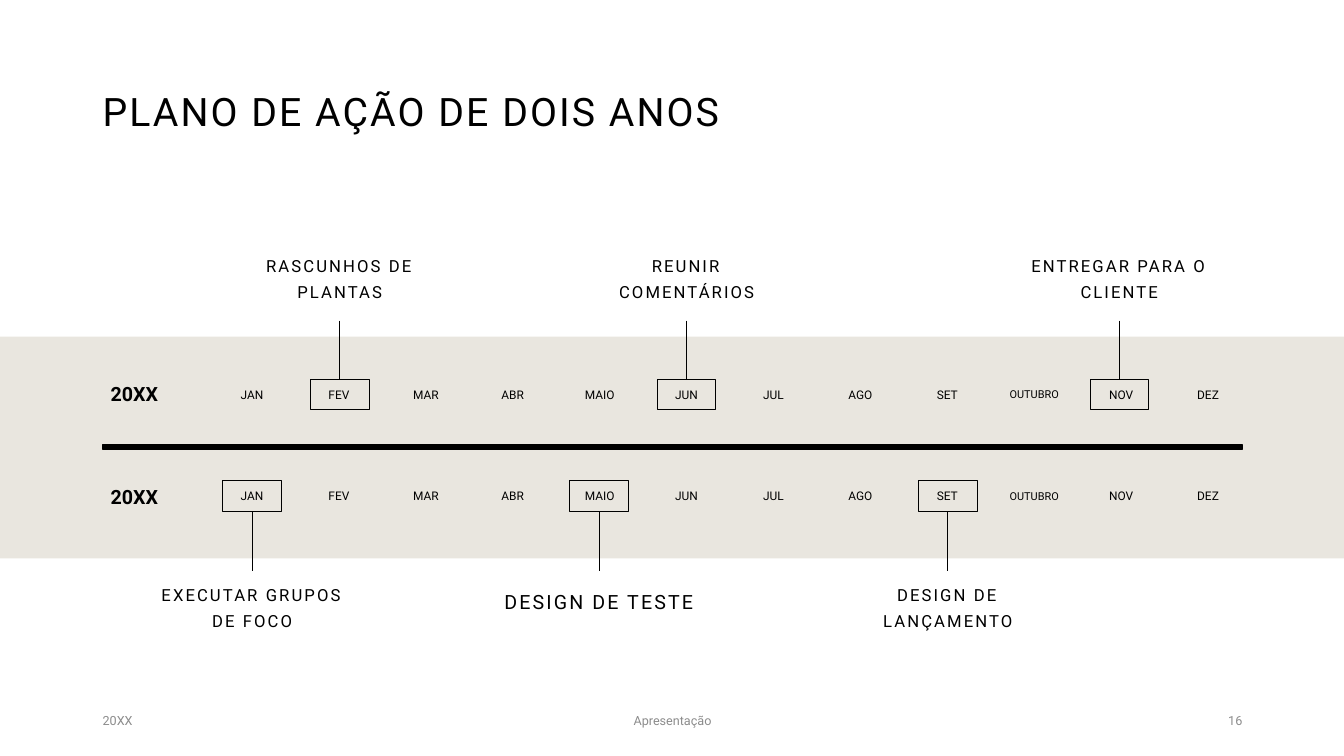
from pptx import Presentation
from pptx.dml.color import RGBColor
from pptx.enum.shapes import MSO_CONNECTOR, MSO_SHAPE
from pptx.enum.text import MSO_ANCHOR, PP_ALIGN
from pptx.oxml.ns import qn
from pptx.util import Inches, Pt
from lxml import etree

BLACK = RGBColor(0x00, 0x00, 0x00)
SAND = RGBColor(0xE9, 0xE6, 0xDF)
GRAY = RGBColor(0x8C, 0x8C, 0x8C)
FONT = "Roboto"

LEFT, CENTER, RIGHT = PP_ALIGN.LEFT, PP_ALIGN.CENTER, PP_ALIGN.RIGHT
TOP, MIDDLE, BOTTOM = MSO_ANCHOR.TOP, MSO_ANCHOR.MIDDLE, MSO_ANCHOR.BOTTOM
RECTANGLE = MSO_SHAPE.RECTANGLE
STRAIGHT = MSO_CONNECTOR.STRAIGHT

MONTHS = ["JAN", "FEV", "MAR", "ABR", "MAIO", "JUN",
          "JUL", "AGO", "SET", "OUTUBRO", "NOV", "DEZ"]
FIRST_MONTH_X, MONTH_STEP = 2.5, 0.862
MONTH_WIDTH = 0.7
MARKER_WIDTH, MARKER_HEIGHT = 0.58, 0.3
LABEL_WIDTH, LABEL_HEIGHT = 2.25, 0.61

# Milestones: centre x and label
FIRST_YEAR = [(3.37, "RASCUNHOS DE PLANTAS"),
              (6.81, "REUNIR COMENTÁRIOS"),
              (11.1, "ENTREGAR PARA O CLIENTE")]
SECOND_YEAR = [(2.5, "EXECUTAR GRUPOS DE FOCO"),
               (5.94, "DESIGN DE TESTE"),
               (9.4, "DESIGN DE LANÇAMENTO")]


def add_text(slide, text, x, y, width, height, *, size, color=BLACK, bold=False,
             align=LEFT, anchor=TOP, line_spacing=1.0, before=0, tracking=0):
    box = slide.shapes.add_textbox(Inches(x), Inches(y), Inches(width), Inches(height))
    frame = box.text_frame
    frame.word_wrap = True
    frame.vertical_anchor = anchor
    paragraph = frame.paragraphs[0]
    paragraph.alignment = align
    paragraph.line_spacing = line_spacing
    paragraph.space_before = Pt(before)
    run = paragraph.add_run()
    run.text = text
    run.font.name = FONT
    run.font.size = Pt(size)
    run.font.bold = bold
    run.font.color.rgb = color
    if tracking:
        run.font._element.set("spc", str(int(tracking * 100)))


def add_rectangle(slide, x, y, width, height, fill=None, line_width=None):
    rectangle = slide.shapes.add_shape(
        RECTANGLE, Inches(x), Inches(y), Inches(width), Inches(height))
    rectangle.shadow.inherit = False
    if fill is None:
        rectangle.fill.background()
    else:
        rectangle.fill.solid()
        rectangle.fill.fore_color.rgb = fill
    if line_width is None:
        rectangle.line.fill.background()
    else:
        rectangle.line.color.rgb = BLACK
        rectangle.line.width = Pt(line_width)


def add_stem(slide, x, top, bottom):
    stem = slide.shapes.add_connector(
        STRAIGHT, Inches(x), Inches(top), Inches(x), Inches(bottom))
    stem.line.color.rgb = BLACK
    stem.line.width = Pt(0.5)
    etree.SubElement(stem._element.spPr, qn("a:effectLst"))


def add_year(slide, year_y, months_y):
    add_text(slide, "20XX", 1, year_y, 0.8, 0.5, size=14, bold=True,
             anchor=MIDDLE, line_spacing=0.9, before=10)
    for index, month in enumerate(MONTHS):
        x = FIRST_MONTH_X + index * MONTH_STEP - MONTH_WIDTH / 2
        add_text(slide, month, x, months_y, MONTH_WIDTH, 0.22,
                 size=7.8 if month == "OUTUBRO" else 8.5,
                 align=CENTER, line_spacing=0.7, before=10)


def add_milestone(slide, x, label, marker_y, stem, label_y, anchor):
    one_line = label == "DESIGN DE TESTE"
    add_text(slide, label, x - LABEL_WIDTH / 2, label_y, LABEL_WIDTH, LABEL_HEIGHT,
             size=14 if one_line else 11.9, line_spacing=1.5 if one_line else 1.3,
             align=CENTER, anchor=anchor, before=10, tracking=1.5)
    add_stem(slide, x, *stem)
    add_rectangle(slide, x - MARKER_WIDTH / 2, marker_y,
                  MARKER_WIDTH, MARKER_HEIGHT, line_width=0.5)


def main():
    prs = Presentation()
    prs.slide_width, prs.slide_height = Inches(13.33), Inches(7.5)
    slide = prs.slides.add_slide(prs.slide_layouts[6])

    # Band and dividing bar
    add_rectangle(slide, 0, 3.34, 13.33, 2.2, fill=SAND)
    add_rectangle(slide, 1.02, 4.41, 11.3, 0.05, fill=BLACK, line_width=1)

    # Title
    add_text(slide, "PLANO DE AÇÃO DE DOIS ANOS", 0.92, 0.4, 11.5, 1.45,
             size=28, anchor=MIDDLE, line_spacing=0.9, tracking=1.5)

    # Month rows
    add_year(slide, 3.67, 3.83)
    add_year(slide, 4.69, 4.84)

    # Milestones above and below the band
    for x, label in FIRST_YEAR:
        add_milestone(slide, x, label, 3.76, (3.18, 3.76), 2.43, BOTTOM)
    for x, label in SECOND_YEAR:
        add_milestone(slide, x, label, 4.77, (5.07, 5.66), 5.69, TOP)

    # Footer
    for text, x, width, align in [("20XX", 0.92, 3, LEFT),
                                  ("Apresentação", 4.42, 4.5, CENTER),
                                  ("16", 9.42, 3, RIGHT)]:
        add_text(slide, text, x, 6.95, width, 0.4, size=9, color=GRAY,
                 align=align, anchor=MIDDLE)

    prs.save("out.pptx")


if __name__ == "__main__":
    main()
